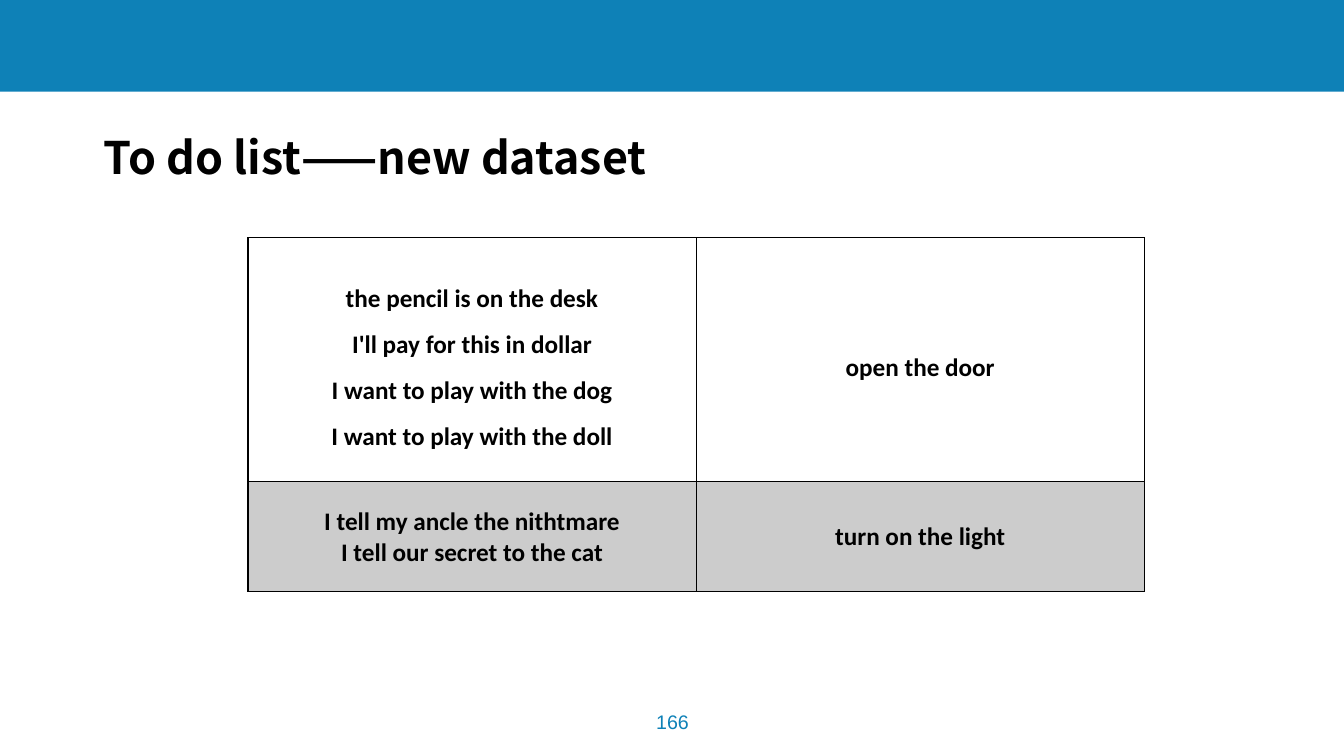
from lxml import etree
from pptx import Presentation
from pptx.dml.color import RGBColor
from pptx.enum.shapes import MSO_SHAPE
from pptx.enum.text import MSO_ANCHOR, PP_ALIGN
from pptx.oxml.ns import qn
from pptx.util import Inches, Pt

RECTANGLE = MSO_SHAPE.RECTANGLE
MIDDLE = MSO_ANCHOR.MIDDLE
LEFT, CENTER = PP_ALIGN.LEFT, PP_ALIGN.CENTER
TITLE_ONLY = 5

COLORS = {"blue": "0E81B7", "black": "000000"}
TITLE_FONT = "Noto Sans CJK SC"

# Each cell lists its sentences; each row has a line spacing and a shade in percent
ROWS = [
    {
        "height": 2.42, "spacing": 1.5, "shade": 0,
        "cells": [
            ["the pencil is on the desk", "I'll pay for this in dollar",
             "I want to play with the dog", "I want to play with the doll"],
            ["open the door"],
        ],
    },
    {
        "height": 1.09, "spacing": 1.0, "shade": 20,
        "cells": [
            ["I tell my ancle the nithtmare", "I tell our secret to the cat"],
            ["turn on the light"],
        ],
    },
]


def color(name):
    return RGBColor.from_string(COLORS[name])


def format_paragraph(paragraph, font_name, size, color_name, bold=False, align=CENTER):
    paragraph.alignment = align
    for run in paragraph.runs:
        run.font.name = font_name
        run.font.size = Pt(size)
        run.font.bold = bold
        run.font.color.rgb = color(color_name)


def add_band(slide, width):
    band = slide.shapes.add_shape(RECTANGLE, 0, 0, width, Inches(0.91))
    band.shadow.inherit = False
    band.fill.solid()
    band.fill.fore_color.rgb = color("blue")
    band.line.fill.background()


def set_title(slide, text):
    title = slide.shapes.title
    title.left, title.top = Inches(0.93), Inches(1.23)
    title.width, title.height = Inches(5.97), Inches(0.64)
    frame = title.text_frame
    frame.text = text
    frame.word_wrap = True
    frame.vertical_anchor = MIDDLE
    paragraph = frame.paragraphs[0]
    format_paragraph(paragraph, TITLE_FONT, 32, "black", bold=True, align=LEFT)
    # The long dash takes the East Asian font
    properties = paragraph.runs[0].font._element
    etree.SubElement(properties, qn("a:ea"), typeface=TITLE_FONT)


def add_page_number(slide, text):
    box = slide.shapes.add_textbox(Inches(6.08), Inches(6.99), Inches(1.18), Inches(0.34))
    frame = box.text_frame
    frame.word_wrap = True
    frame.text = text
    format_paragraph(frame.paragraphs[0], "Arial", 14, "blue")


def add_borders(cell):
    properties = cell._tc.get_or_add_tcPr()
    for position, side in enumerate(("lnL", "lnR", "lnT", "lnB")):
        line = etree.Element(qn(f"a:{side}"), w=str(Pt(1)))
        fill = etree.SubElement(line, qn("a:solidFill"))
        etree.SubElement(fill, qn("a:srgbClr"), val=COLORS["black"])
        properties.insert(position, line)


def shade_cell(cell, percent):
    if not percent:
        cell.fill.background()
        return
    cell.fill.solid()
    cell.fill.fore_color.rgb = color("black")
    fill_color = cell._tc.tcPr.find(qn("a:solidFill"))[0]
    etree.SubElement(fill_color, qn("a:alpha"), val=str(percent * 1000))


def fill_cell(cell, sentences, spacing, shade):
    cell.text_frame.text = "\n".join(sentences)
    cell.vertical_anchor = MIDDLE
    cell.margin_left = cell.margin_right = cell.margin_top = Inches(0.01)
    cell.margin_bottom = 0
    for paragraph in cell.text_frame.paragraphs:
        format_paragraph(paragraph, "Calibri", 18, "black", bold=True)
        paragraph.line_spacing = spacing
    shade_cell(cell, shade)
    add_borders(cell)


def add_sentence_table(slide):
    frame = slide.shapes.add_table(
        len(ROWS), 2, Inches(2.46), Inches(2.36), Inches(8.89), Inches(3.51))
    table = frame.table
    table.first_row = False
    table.horz_banding = False
    for row_index, row in enumerate(ROWS):
        table.rows[row_index].height = Inches(row["height"])
        for column_index, sentences in enumerate(row["cells"]):
            fill_cell(table.cell(row_index, column_index), sentences,
                      row["spacing"], row["shade"])


def main():
    presentation = Presentation()
    presentation.slide_width = Inches(13.33)
    presentation.slide_height = Inches(7.5)
    slide = presentation.slides.add_slide(presentation.slide_layouts[TITLE_ONLY])

    # Header band, page number and title
    add_band(slide, presentation.slide_width)
    add_page_number(slide, "166")
    set_title(slide, "To do list——new dataset")

    # Sentences of the new dataset
    add_sentence_table(slide)

    presentation.save("out.pptx")


if __name__ == "__main__":
    main()
